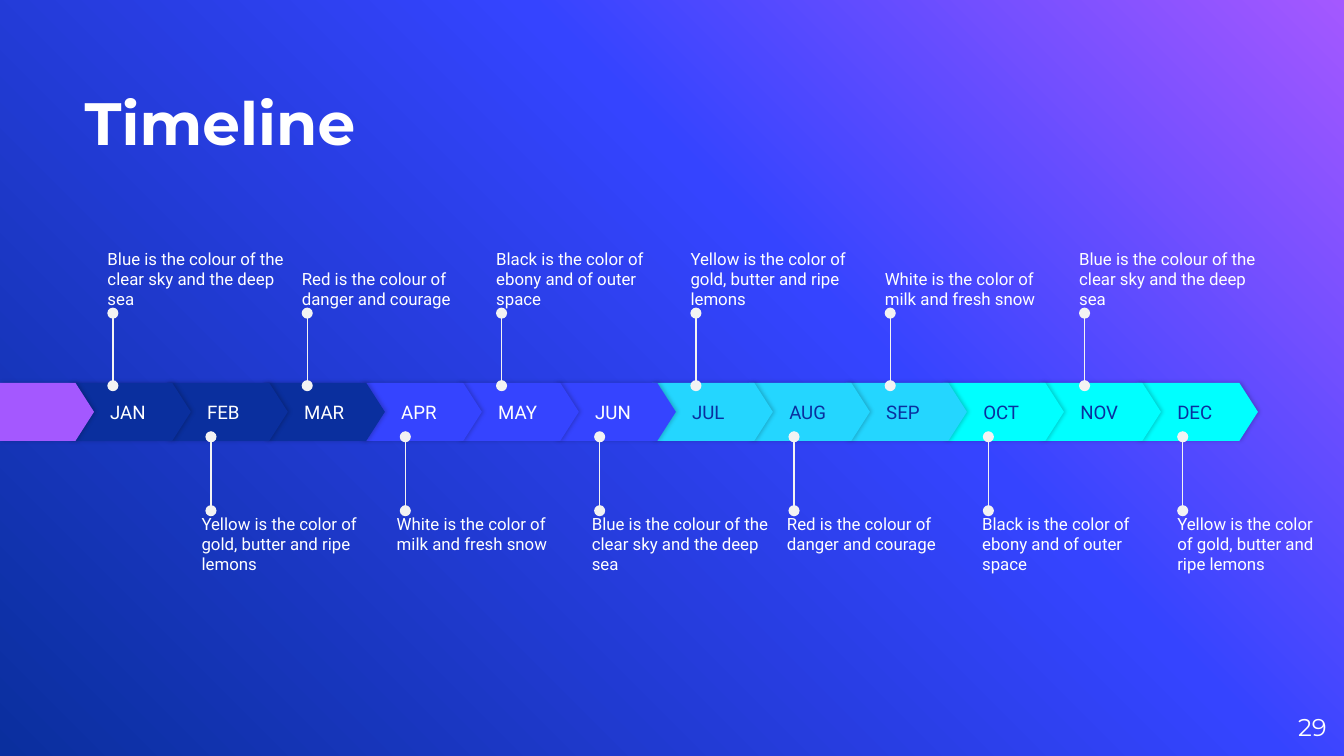
import copy
import pptx
import pptx.dml.color
import pptx.enum.shapes
import pptx.enum.text
import pptx.oxml
import pptx.oxml.ns
import pptx.util

Inches = pptx.util.Inches
Pt = pptx.util.Pt
qn = pptx.oxml.ns.qn
Anchor = pptx.enum.text.MSO_ANCHOR
Align = pptx.enum.text.PP_ALIGN

COLORS = {"white": "FFFFFF", "purple": "A458FF", "blue": "3544FF", "navy": "0A2F9E",
          "sky": "24D6FF", "cyan": "00FFFF", "pale": "F3F3F3", "black": "000000"}
FADE = [(0, "purple"), (0.39, "blue"), (1, "navy")]
QUARTERS = [
    ("navy", "white", ["JAN", "FEB", "MAR"]),
    ("blue", "white", ["APR", "MAY", "JUN"]),
    ("sky", "navy", ["JUL", "AUG", "SEP"]),
    ("cyan", "navy", ["OCT", "NOV", "DEC"]),
]
BLUE = "Blue is the colour of the clear sky and the deep sea"
RED = "Red is the colour of danger and courage"
BLACK = "Black is the color of ebony and of outer space"
YELLOW = "Yellow is the color of gold, butter and ripe lemons"
WHITE = "White is the color of milk and fresh snow"
ROWS = [
    {"notes": [BLUE, RED, BLACK, YELLOW, WHITE, BLUE], "line": (0.84, 8.07),
     "ends": (2.87, 2.33), "text": (0.8, 8.03), "top": 1.72,
     "anchor": Anchor.BOTTOM, "last": 1.37},
    {"notes": [YELLOW, WHITE, BLUE, RED, BLACK, YELLOW], "line": (1.57, 8.8),
     "ends": (3.8, 3.25), "text": (1.5, 8.76), "top": 3.82,
     "anchor": Anchor.TOP, "last": 1.13},
]
HEAD = {"size": Pt(32), "name": "Montserrat", "bold": True}
PAGE = {"size": Pt(13), "name": "Montserrat"}
MONTH = {"size": Pt(10), "name": "Roboto"}
NOTE = {"size": Pt(9), "name": "Roboto"}
BAND = (2.85, 0.43)


def rgb(name):
    return pptx.dml.color.RGBColor.from_string(COLORS[name])


def spread(ends, count):
    first, last = ends
    return [first + (last - first) * i / (count - 1) for i in range(count)]


def write(shape, text, font, color="white", anchor=Anchor.MIDDLE, align=Align.LEFT, inset=0):
    frame = shape.text_frame
    layout = {"word_wrap": True, "vertical_anchor": anchor, "margin_left": Inches(inset),
              "margin_top": 0, "margin_right": 0, "margin_bottom": 0}
    for key, value in layout.items():
        setattr(frame, key, value)
    para = frame.paragraphs[0]
    para.alignment = align
    run = para.add_run()
    run.text = text
    for key, value in font.items():
        setattr(run.font, key, value)
    run.font.color.rgb = rgb(color)


def add_text(slide, box, text, font, **style):
    write(slide.shapes.add_textbox(*map(Inches, box)), text, font, **style)


def add_arrow(slide, left, width, fill):
    top, height = BAND
    arrow = slide.shapes.add_shape(pptx.enum.shapes.MSO_SHAPE.PENTAGON,
                                   *map(Inches, (left, top, width, height)))
    arrow.adjustments[0] = 0.32
    arrow.fill.solid()
    arrow.fill.fore_color.rgb = rgb(fill)
    arrow.line.fill.background()
    arrow.shadow.inherit = False
    shade = pptx.oxml.parse_xml(
        f'<a:outerShdw {pptx.oxml.ns.nsdecls("a")} blurRad="{Pt(2.2)}" dist="{Pt(0.8)}" dir="0">'
        f'<a:srgbClr val="{COLORS["black"]}"><a:alpha val="20000"/></a:srgbClr></a:outerShdw>')
    arrow._element.spPr.find(qn("a:effectLst")).append(shade)
    return arrow


def add_pin(slide, x, ends):
    start, end = ends
    pin = slide.shapes.add_connector(pptx.enum.shapes.MSO_CONNECTOR.STRAIGHT,
                                     *map(Inches, (x, start, x, end)))
    pin.line.width = Pt(0.75)
    pin.line.color.rgb = rgb("pale")
    props = pin._element.spPr
    edge = props.find(qn("a:ln"))
    for tag in ("a:headEnd", "a:tailEnd"):
        edge.append(edge.makeelement(qn(tag), {"type": "oval"}))
    props.append(props.makeelement(qn("a:effectLst"), {}))


def paint(slide):
    fill = slide.background.fill
    fill.gradient()
    fill.gradient_angle = 225
    stops = slide._element.find(".//" + qn("a:gsLst"))
    stops.append(copy.deepcopy(stops[0]))
    for stop, (place, color) in zip(fill.gradient_stops, FADE):
        stop.position = place
        stop.color.rgb = rgb(color)


def main():
    deck = pptx.Presentation()
    deck.slide_width = Inches(10)
    deck.slide_height = Inches(10 * 9 / 16)
    slide = deck.slides.add_slide(deck.slide_layouts[6])
    paint(slide)
    add_text(slide, (0.63, 0.23, 6.58, 0.94), "Timeline", HEAD, anchor=Anchor.BOTTOM)
    add_text(slide, (9.27, 5.19, 0.6, 0.43), "29", PAGE, align=Align.RIGHT)

    months = [(name, fill, ink) for fill, ink, names in QUARTERS for name in names]
    lefts = spread((0.52, 8.46), len(months))
    for left, (name, fill, ink) in reversed(list(zip(lefts, months))):
        write(add_arrow(slide, left, 0.9, fill), name, MONTH, color=ink, inset=0.3)
    add_arrow(slide, 0, 0.7, "purple")

    for row in ROWS:
        notes = row["notes"]
        count = len(notes)
        widths = [1.37] * (count - 1) + [row["last"]]
        for note, x, left, width in zip(notes, spread(row["line"], count),
                                        spread(row["text"], count), widths):
            add_pin(slide, x, row["ends"])
            add_text(slide, (left, row["top"], width, 0.58), note, NOTE, anchor=row["anchor"])
    deck.save("out.pptx")


if __name__ == "__main__":
    main()
